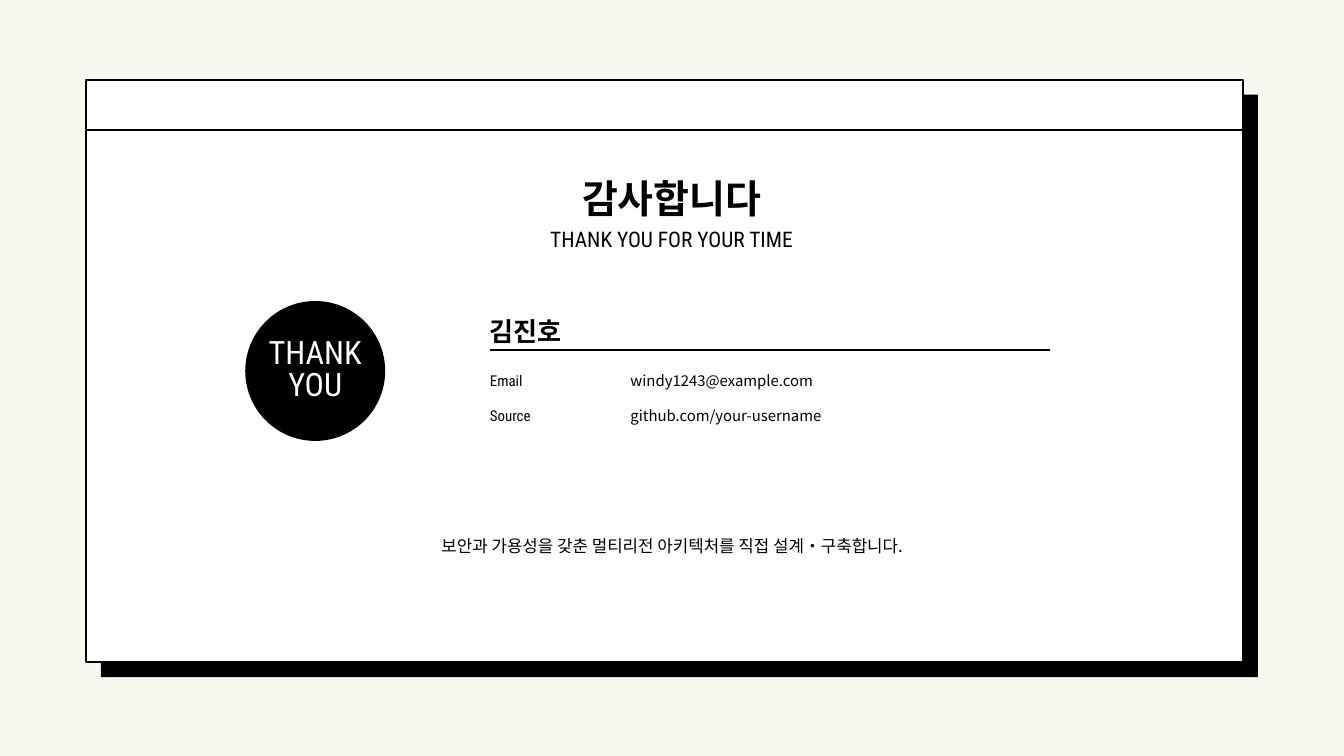
from lxml import etree
from pptx import Presentation
from pptx.dml.color import RGBColor
from pptx.enum.shapes import MSO_CONNECTOR, MSO_SHAPE
from pptx.enum.text import MSO_ANCHOR, MSO_AUTO_SIZE, PP_ALIGN
from pptx.oxml.ns import qn
from pptx.util import Cm, Pt

BLACK = RGBColor(0x00, 0x00, 0x00)
WHITE = RGBColor(0xFF, 0xFF, 0xFF)
CREAM = RGBColor(0xF8, 0xF7, 0xF0)
SANS = "Noto Sans CJK SC"
SLIM = "Roboto Condensed"
LEFT, MID = PP_ALIGN.LEFT, PP_ALIGN.CENTER
TOP, CENTER = MSO_ANCHOR.TOP, MSO_ANCHOR.MIDDLE
NO_FIT = MSO_AUTO_SIZE.NONE
RECT, OVAL = MSO_SHAPE.RECTANGLE, MSO_SHAPE.OVAL
STRAIGHT = MSO_CONNECTOR.STRAIGHT


def write(shape, lines, face, size, lead, align=LEFT, color=BLACK,
          bold=False, anchor=TOP):
    """Fill a shape with paragraphs of one style."""
    frame = shape.text_frame
    frame.word_wrap = True
    frame.auto_size = NO_FIT
    frame.vertical_anchor = anchor
    frame.margin_left = frame.margin_right = 0
    frame.margin_top = frame.margin_bottom = 0
    frame.text = "\n".join(lines)
    for para in frame.paragraphs:
        para.alignment = align
        para.line_spacing = Pt(lead)
        font = para.font
        font.size = Pt(size)
        font.bold = bold
        font.color.rgb = color
        font.name = face
        # Hangul takes the East Asian face
        props = para._p.pPr.find(qn("a:defRPr"))
        etree.SubElement(props, qn("a:ea")).set("typeface", face)


def place(shape, x, y, w, h):
    shape.left, shape.top = Cm(x), Cm(y)
    shape.width, shape.height = Cm(w), Cm(h)


def add_text(slide, x, y, w, h, text, *style, **more):
    box = slide.shapes.add_textbox(Cm(x), Cm(y), Cm(w), Cm(h))
    write(box, [text], *style, **more)


def add_block(slide, kind, x, y, w, h, fill, edge=None):
    block = slide.shapes.add_shape(kind, Cm(x), Cm(y), Cm(w), Cm(h))
    block.shadow.inherit = False
    block.fill.solid()
    block.fill.fore_color.rgb = fill
    if edge:
        block.line.color.rgb = BLACK
        block.line.width = Pt(edge)
    else:
        block.line.fill.background()
    return block


def add_rule(slide, x, y, w, weight):
    rule = slide.shapes.add_connector(STRAIGHT, Cm(x), Cm(y), Cm(x + w), Cm(y))
    rule.line.color.rgb = BLACK
    rule.line.width = Pt(weight)
    etree.SubElement(rule._element.spPr, qn("a:effectLst"))


def add_window(slide):
    x, y, w, h, drop = 3.25, 3.02, 43.74, 22.02, 0.56
    add_block(slide, RECT, x + drop, y + drop, w, h, BLACK)
    add_block(slide, RECT, x, y, w, h, WHITE, 2.25)
    add_rule(slide, x, 4.9, w, 2.25)


def add_badge(slide):
    badge = add_block(slide, OVAL, 9.27, 11.38, 5.29, 5.29, BLACK)
    write(badge, ["THANK", "YOU"], SLIM, 34.5, 34.5, MID, WHITE, anchor=CENTER)


def add_contact(slide):
    x, y, step = 18.52, 13.92, 1.32
    add_text(slide, x, 11.73, 13.23, 1.35, "김진호", SANS, 28, 39.2, bold=True)
    add_rule(slide, x, 13.23, 21.15, 1.5)
    rows = [("Email", "windy1243@example.com"),
            ("Source", "github.com/your-username")]
    for i, (label, value) in enumerate(rows):
        row = y + i * step
        add_text(slide, x, row, 5.29, 0.76, label, SLIM, 16, 22.4)
        add_text(slide, 23.83, row, 10.59, 0.76, value, SANS, 16, 22.4)


def main():
    deck = Presentation()
    deck.slide_width, deck.slide_height = Cm(50.8), Cm(28.58)
    slide = deck.slides.add_slide(deck.slide_layouts[5])
    slide.background.fill.solid()
    slide.background.fill.fore_color.rgb = CREAM

    add_window(slide)
    add_badge(slide)

    # Heading, brought in front of the window
    title = slide.shapes.title
    slide.shapes._spTree.append(title._element)
    place(title, 17.4, 6.32, 15.98, 1.96)
    write(title, ["감사합니다"], SANS, 41.8, 58.5, MID, bold=True)
    add_text(slide, 17.4, 8.38, 15.98, 1.09, "THANK YOU FOR YOUR TIME",
             SLIM, 23, 32.2, MID)

    add_contact(slide)

    # Closing line
    add_text(slide, 13.49, 20.12, 23.83, 0.89,
             "보안과 가용성을 갖춘 멀티리전 아키텍처를 직접 설계·구축합니다.",
             SANS, 18, 25.2, MID)
    deck.save("out.pptx")


if __name__ == "__main__":
    main()
